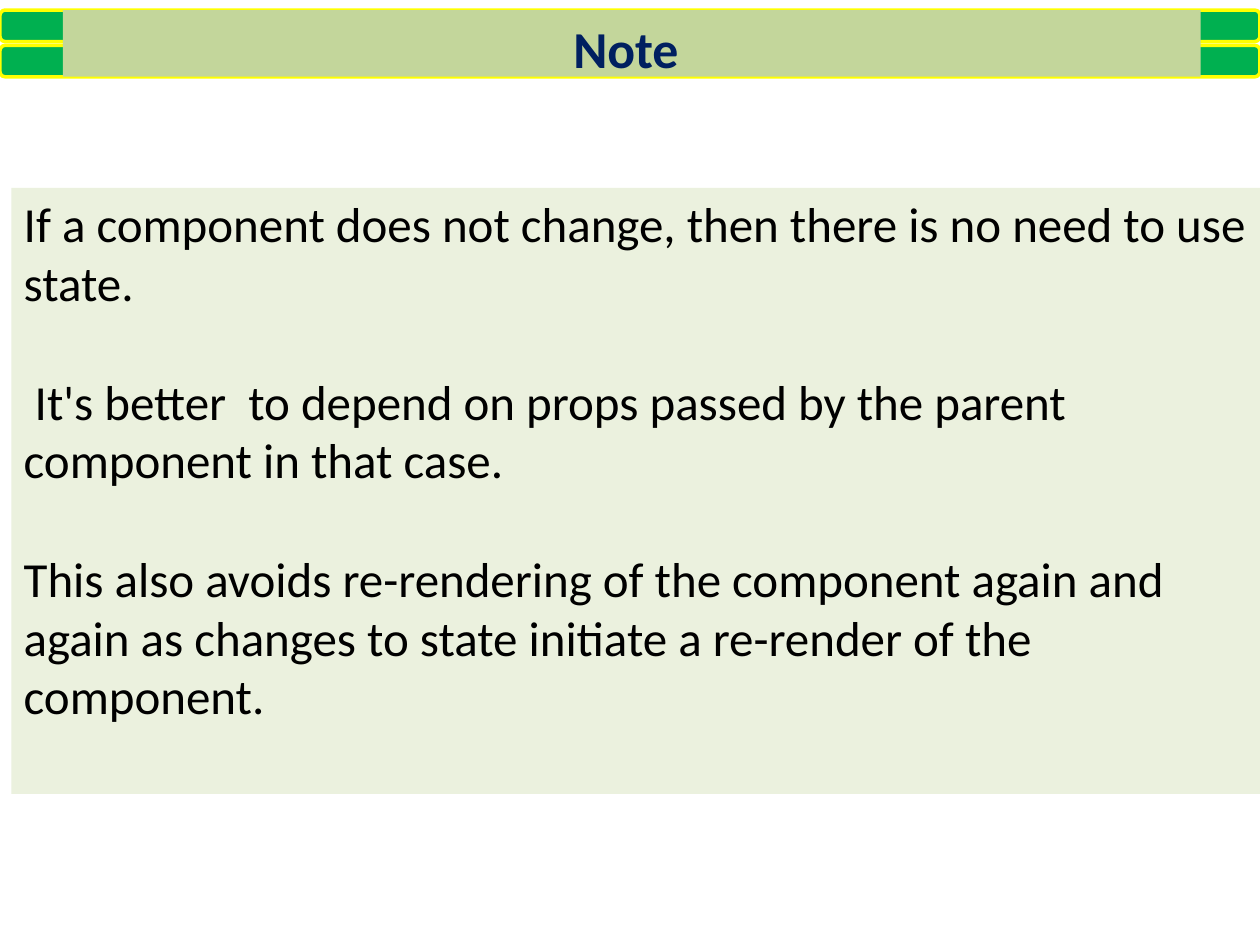
"""Build a slide with a striped title bar and a note on component state."""
from pptx import Presentation
from pptx.dml.color import RGBColor
from pptx.enum.shapes import MSO_SHAPE as Shape
from pptx.enum.text import MSO_ANCHOR as Anchor, PP_ALIGN as Align
from pptx.util import Inches, Pt

NOTES = [
    "If a component does not change, then there is no need to use state.",
    " It's better  to depend on props passed by the parent component in that case.",
    "This also avoids re-rendering of the component again and again as changes "
    "to state initiate a re-render of the component.",
]


def color(value):
    return RGBColor.from_string(value)


def add_panel(slide, kind, box, fill, line=None):
    sp = slide.shapes.add_shape(kind, *(Inches(v) for v in box))
    sp.shadow.inherit = False
    sp.fill.solid()
    sp.fill.fore_color.rgb = color(fill)
    if line:
        sp.line.color.rgb = color(line)
        sp.line.width = Pt(2)
    else:
        sp.line.fill.background()
    return sp


def add_text(sp, texts, size, ink, align, bold=False, gap=0):
    tf = sp.text_frame
    tf.word_wrap = True
    tf.vertical_anchor = Anchor.TOP
    for i, text in enumerate(texts):
        p = tf.add_paragraph() if i else tf.paragraphs[0]
        p.text = text
        p.alignment = align
        if i:
            p.space_before = Pt(gap)
        p.font.name = "Calibri"
        p.font.size = Pt(size)
        p.font.bold = bold
        p.font.color.rgb = color(ink)


def main():
    prs = Presentation()
    prs.slide_width, prs.slide_height = Inches(10), Inches(7.5)
    slide = prs.slides.add_slide(prs.slide_layouts[6])

    for top in (0.36, 0.08):
        add_panel(slide, Shape.ROUNDED_RECTANGLE, (0, top, 10, 0.25), "00B050", "FFFF00")

    title = add_panel(slide, Shape.RECTANGLE, (0.5, 0.08, 9.03, 0.53), "C3D69B")
    add_text(title, ["Note "], 29.6, "002060", Align.CENTER, bold=True)

    note = add_panel(slide, Shape.RECTANGLE, (0.09, 1.49, 9.93, 4.81), "EBF1DE")
    add_text(note, NOTES, 28, "000000", Align.LEFT, gap=34)

    prs.save("out.pptx")


if __name__ == "__main__":
    main()
